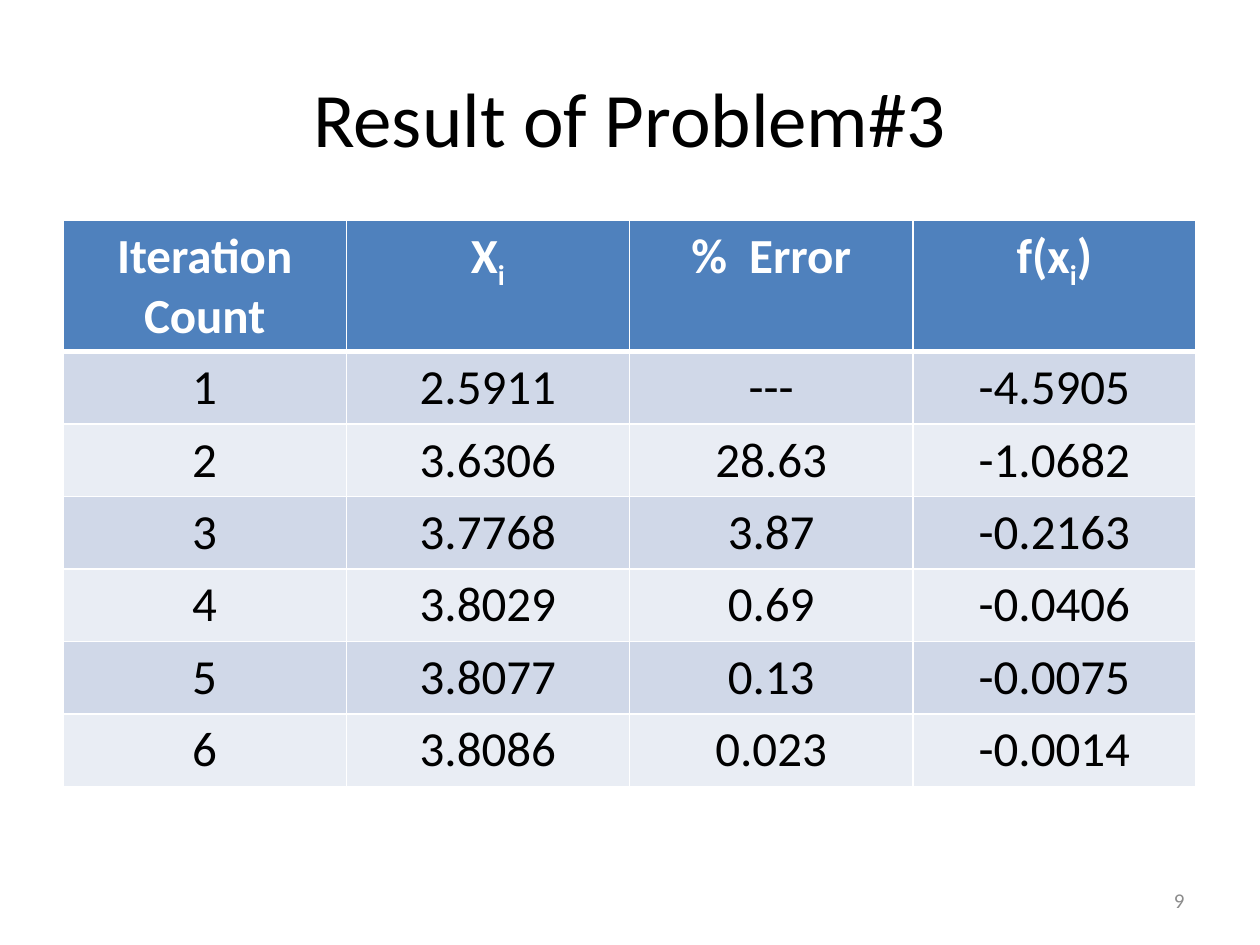
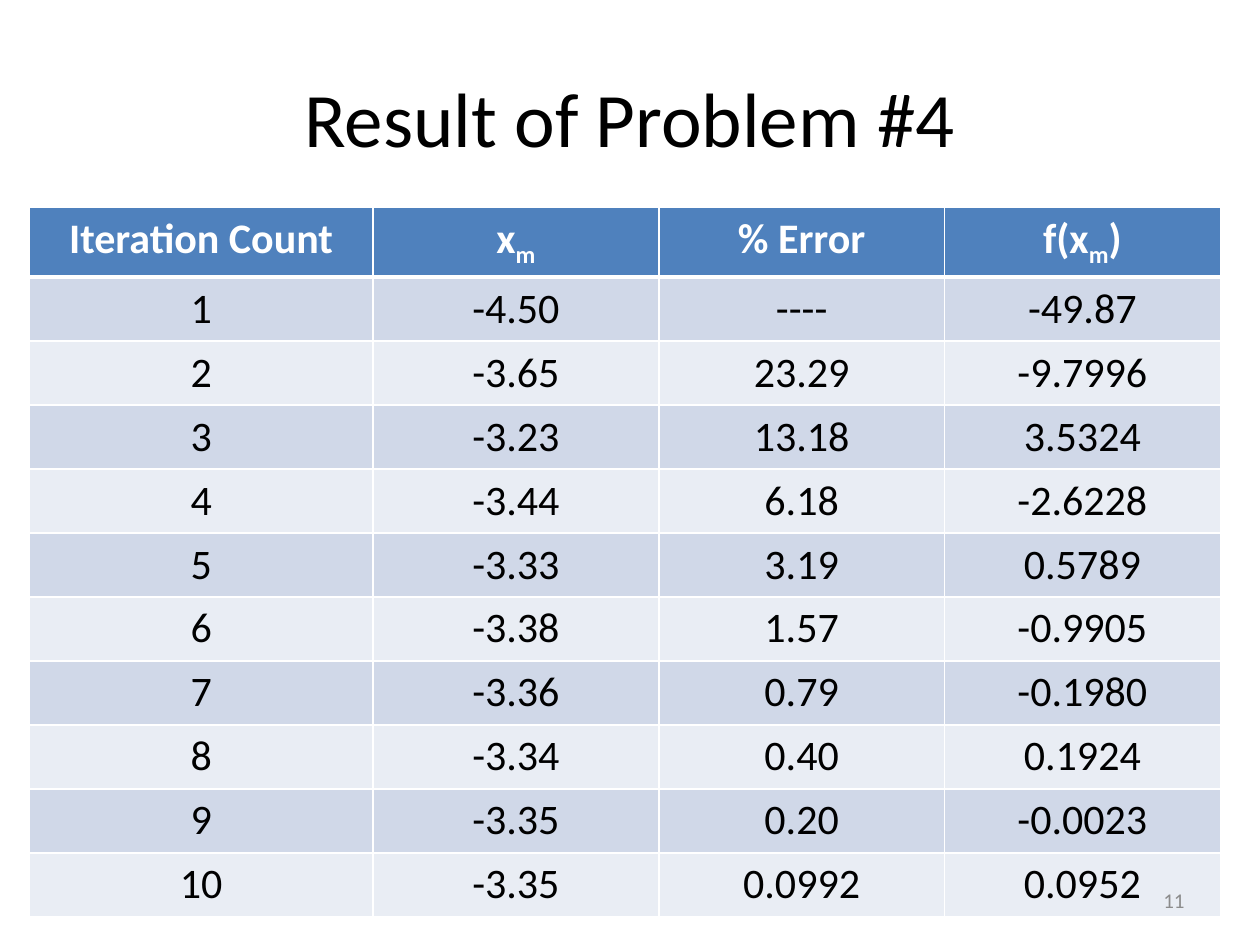
"""Build two slides with tables of root-finding iterations."""
from dataclasses import dataclass

from lxml.etree import SubElement
from pptx import Presentation
from pptx.dml.color import RGBColor
from pptx.enum.text import MSO_ANCHOR as Anchor, PP_ALIGN as Align
from pptx.oxml import parse_xml
from pptx.oxml.ns import nsdecls, qn
from pptx.slide import Slide
from pptx.table import _Cell as Cell
from pptx.text.text import _Paragraph as Paragraph
from pptx.util import Cm, Pt

FONT = "Calibri"
BLACK = RGBColor(0x00, 0x00, 0x00)
WHITE = RGBColor(0xFF, 0xFF, 0xFF)
GRAY = RGBColor(0x8C, 0x8C, 0x8C)
BLUE = RGBColor(0x4F, 0x81, 0xBD)
BANDS = (RGBColor(0xE9, 0xED, 0xF4), RGBColor(0xD0, 0xD8, 0xE8))


@dataclass(frozen=True)
class Label:
    """Place and style of a text that every slide carries."""

    left: float
    top: float
    width: float
    height: float
    size: int
    color: RGBColor
    align: Align


@dataclass(frozen=True)
class ResultSlide:
    """Texts, table geometry in centimetres and values of one slide."""

    title: str
    number: str
    left: float
    top: float
    columns: tuple[float, ...]
    header_height: float
    row_height: float
    size: int
    header: tuple[str, ...]
    rows: tuple[tuple[str, ...], ...]


TITLE = Label(1.27, 0.76, 22.86, 3.18, 44, BLACK, Align.CENTER)
NUMBER = Label(18.2, 17.65, 5.93, 1.01, 12, GRAY, Align.RIGHT)

SLIDES = (
    ResultSlide(
        "Result of Problem#3", "9", 1.27, 4.45, (5.71,) * 4, 2.64, 1.46, 28,
        ("Iteration Count", "X_i_", "%  Error", "f(x_i_)"),
        (
            ("1", "2.5911", "---", "-4.5905"),
            ("2", "3.6306", "28.63", "-1.0682"),
            ("3", "3.7768", "3.87", "-0.2163"),
            ("4", "3.8029", "0.69", "-0.0406"),
            ("5", "3.8077", "0.13", "-0.0075"),
            ("6", "3.8086", "0.023", "-0.0014"),
        ),
    ),
    ResultSlide(
        "Result of Problem #4", "11", 0.59, 4.17, (6.93, 5.76, 5.76, 5.56), 1.37, 1.29, 24,
        ("Iteration Count", "x_m_", "% Error", "f(x_m_)"),
        (
            ("1", "-4.50", "----", "-49.87"),
            ("2", "-3.65", "23.29", "-9.7996"),
            ("3", "-3.23", "13.18", "3.5324"),
            ("4", "-3.44", "6.18", "-2.6228"),
            ("5", "-3.33", "3.19", "0.5789"),
            ("6", "-3.38", "1.57", "-0.9905"),
            ("7", "-3.36", "0.79", "-0.1980"),
            ("8", "-3.34", "0.40", "0.1924"),
            ("9", "-3.35", "0.20", "-0.0023"),
            ("10", "-3.35", "0.0992", "0.0952"),
        ),
    ),
)


def write(p: Paragraph, text: str, size: int, color: RGBColor, align: Align, bold: bool = False) -> None:
    """Fill a paragraph, setting parts between underscores as subscript."""
    p.alignment = align
    p.font.name, p.font.size, p.font.bold = FONT, Pt(size), bold
    p.font.color.rgb = color
    for i, part in enumerate(text.split("_")):
        if part:
            r = p.add_run()
            r.text = part
            if i % 2:
                r._r.get_or_add_rPr().set("baseline", "-25000")


def add_label(s: Slide, label: Label, text: str) -> None:
    """Add a vertically centred text box."""
    sp = s.shapes.add_textbox(Cm(label.left), Cm(label.top), Cm(label.width), Cm(label.height))
    tf = sp.text_frame
    tf.word_wrap = True
    tf.vertical_anchor = Anchor.MIDDLE
    write(tf.paragraphs[0], text, label.size, label.color, label.align)


def set_borders(cell: Cell, top: int, bottom: int) -> None:
    """Give a cell white borders, with top and bottom widths in points."""
    tc_pr = cell._tc.get_or_add_tcPr()
    for i, (side, width) in enumerate((("L", 1), ("R", 1), ("T", top), ("B", bottom))):
        ln = parse_xml(f'<a:ln{side} {nsdecls("a")} w="{Pt(width)}"/>')
        fill = SubElement(ln, qn("a:solidFill"))
        SubElement(fill, qn("a:srgbClr"), val=str(WHITE))
        tc_pr.insert(i, ln)


def add_results(s: Slide, result: ResultSlide) -> None:
    """Add the table with its header row and banded value rows."""
    rows = (result.header, *result.rows)
    heights = (result.header_height, *(result.row_height for _ in result.rows))
    table = s.shapes.add_table(
        len(rows), len(result.columns), Cm(result.left), Cm(result.top),
        Cm(sum(result.columns)), Cm(sum(heights)),
    ).table
    for column, width in zip(table.columns, result.columns):
        column.width = Cm(width)
    for i, (texts, height) in enumerate(zip(rows, heights)):
        is_header = i == 0
        table.rows[i].height = Cm(height)
        for j, text in enumerate(texts):
            cell = table.cell(i, j)
            cell.fill.solid()
            cell.fill.fore_color.rgb = BLUE if is_header else BANDS[i % 2]
            set_borders(cell, 3 if i == 1 else 1, 3 if is_header else 1)
            color = WHITE if is_header else BLACK
            write(cell.text_frame.paragraphs[0], text, result.size, color, Align.CENTER, is_header)


def main() -> None:
    """Build and save the presentation."""
    prs = Presentation()
    prs.slide_width, prs.slide_height = Cm(25.4), Cm(19.05)
    for result in SLIDES:
        s = prs.slides.add_slide(prs.slide_layouts[6])
        add_label(s, TITLE, result.title)
        add_results(s, result)
        add_label(s, NUMBER, result.number)
    prs.save("out.pptx")


if __name__ == "__main__":
    main()
